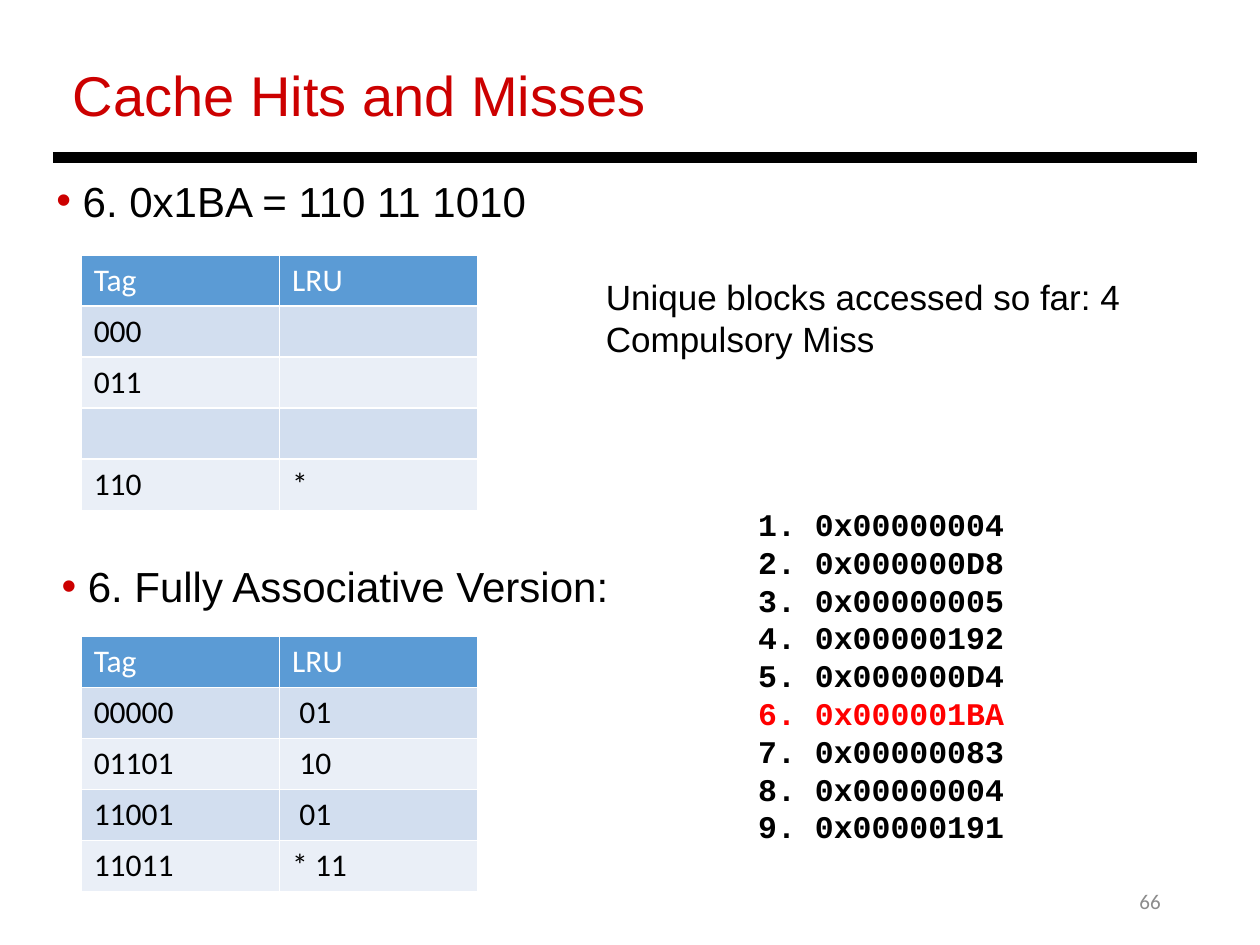
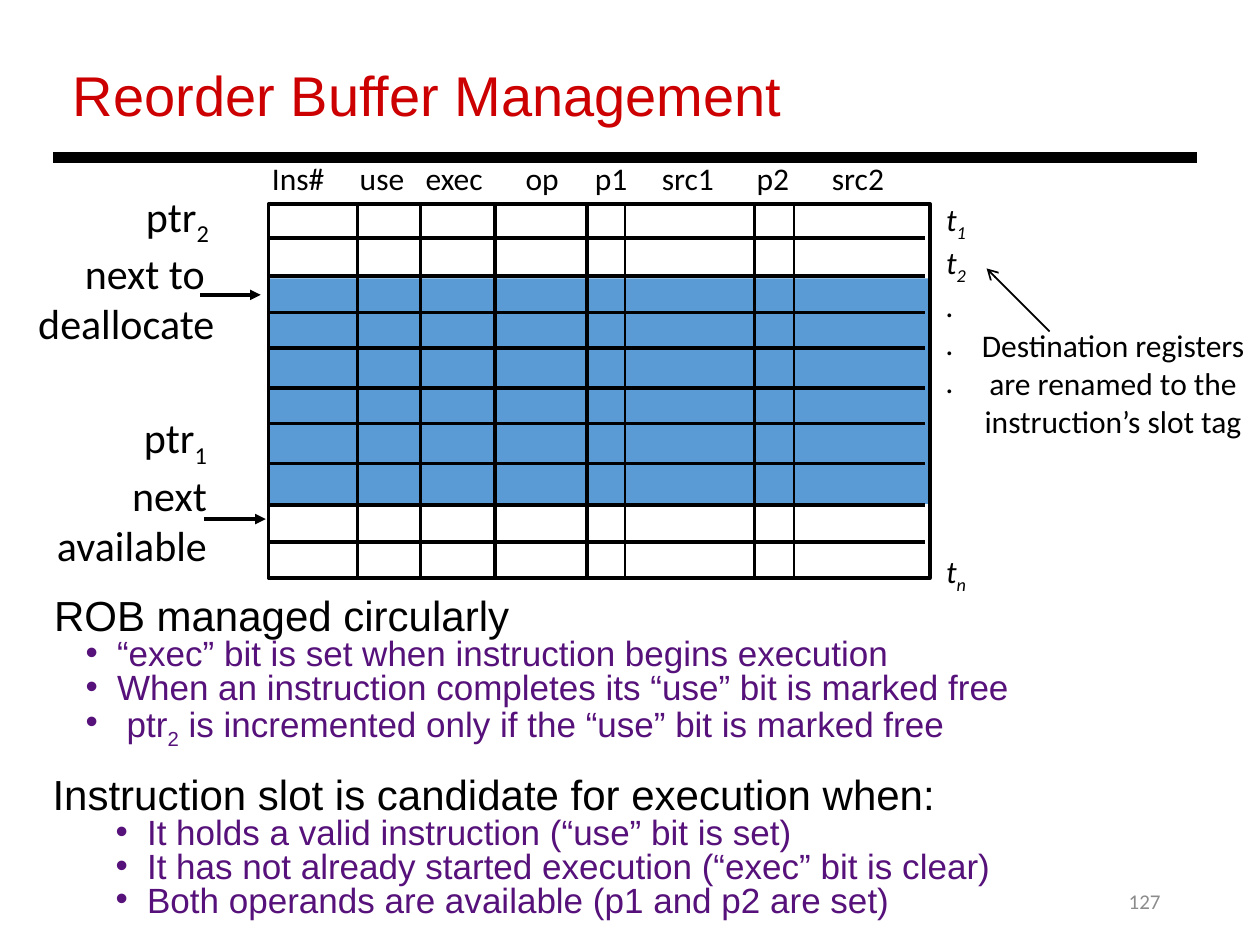
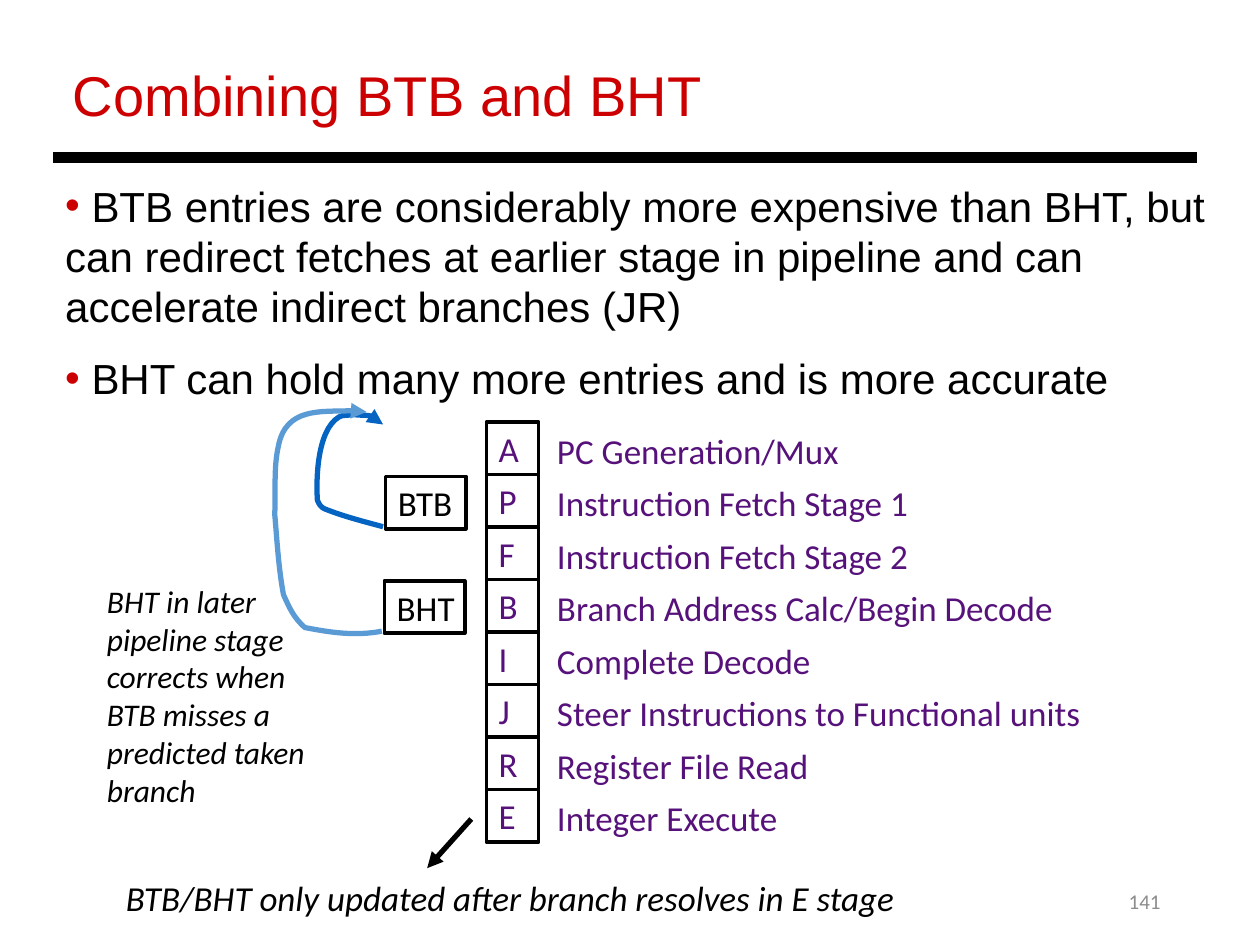
from lxml import etree
from pptx import Presentation
from pptx import util as u
from pptx.dml.color import RGBColor
from pptx.enum import shapes, text
from pptx.oxml.ns import qn

THEME = dict(
    black="000000", white="FFFFFF", red="CC0000", hot="FF0000", purple="56127A",
    blue="5B9BD5", deep="0563C1", bands=("D2DEEF", "EAEFF7"), grey="8C8C8C",
    head="Arial", body="Calibri", code="Courier New",
    title=32, lead=24, text=20, small=18, page=12,
)
T = THEME
RGB = RGBColor.from_string
RIGHT, CENTER = text.PP_ALIGN.RIGHT, text.PP_ALIGN.CENTER


def write(tf, paras, wrap=True, anchor=text.MSO_ANCHOR.TOP, **base):
    """Each paragraph is a string, a tuple whose odd pieces are subscripts,
    or a (paragraph, format) list."""
    tf.word_wrap, tf.vertical_anchor = wrap, anchor
    for i, para in enumerate(paras):
        pieces, own = para if isinstance(para, list) else (para, {})
        fmt = dict(font=T["body"], size=T["small"], color=T["black"], bold=False, italic=False)
        fmt.update(base)
        fmt.update(own)
        p = tf.paragraphs[0] if i == 0 else tf.add_paragraph()
        pPr = p._p.get_or_add_pPr()
        if "bullet" in fmt:
            left, indent = fmt.get("indent", (0, 0))
            pPr.set("marL", str(u.Pt(left)))
            pPr.set("indent", str(u.Pt(indent)))
            clr = etree.SubElement(pPr, qn("a:buClr"))
            etree.SubElement(clr, qn("a:srgbClr"), val=fmt["bullet"])
            etree.SubElement(pPr, qn("a:buFont"), typeface=T["head"])
            etree.SubElement(pPr, qn("a:buChar"), char="•")
        if "tabs" in fmt:
            tabs = etree.SubElement(pPr, qn("a:tabLst"))
            for pos in fmt["tabs"]:
                etree.SubElement(tabs, qn("a:tab"), pos=str(u.Pt(pos)), algn="l")
        for name in ("alignment", "line_spacing", "space_before"):
            if name in fmt:
                setattr(p, name, fmt[name])
        for j, piece in enumerate((pieces,) if isinstance(pieces, str) else pieces):
            r = p.add_run()
            r.text = piece
            values = dict(name=fmt["font"], size=u.Pt(fmt["size"]), bold=fmt["bold"], italic=fmt["italic"])
            for name, value in values.items():
                setattr(r.font, name, value)
            r.font.color.rgb = RGB(fmt["color"])
            if j % 2:
                r._r.get_or_add_rPr().set("baseline", "-25000")


def line(s, x1, y1, x2, y2, width, arrow=None):
    c = s.shapes.add_connector(shapes.MSO_CONNECTOR.STRAIGHT, *map(u.Pt, (x1, y1, x2, y2)))
    c.line.width = u.Pt(width)
    c.line.color.rgb = RGB(T["black"])
    if arrow:
        etree.SubElement(c.line._get_or_add_ln(), qn("a:tailEnd"), type=arrow)
    etree.SubElement(c._element.spPr, qn("a:effectLst"))


prs = Presentation()
prs.slide_width, prs.slide_height = u.Pt(720), u.Pt(540)

# Shared frame: title, rule, page number
pages = []
for title, number in (("Cache Hits and Misses", "66"),
                      ("Reorder Buffer Management", "127"),
                      ("Combining BTB and BHT", "141")):
    s = prs.slides.add_slide(prs.slide_layouts[6])
    sp = s.shapes.add_textbox(*map(u.Pt, (508.3, 500.4, 162, 28.8)))
    write(sp.text_frame, [number], anchor=text.MSO_ANCHOR.MIDDLE,
          alignment=RIGHT, size=T["page"], color=T["grey"])
    sp = s.shapes.add_textbox(*map(u.Pt, (34.6, 31, 632.5, 46)))
    write(sp.text_frame, [title], font=T["head"], size=T["title"], color=T["red"])
    line(s, 30.2, 90, 684, 90, 6)
    pages.append(s)
cache, rob, branch = pages
LEAD = dict(font=T["head"], size=T["lead"])
RED_BULLET = dict(LEAD, bullet=T["red"])

# Slide 1: headings and cache tables
for x, y, heading, table_y, rows in (
    (25.2, 96.5, " 6. 0x1BA = 110 11 1010", 145.6,
     (("Tag", "LRU"), ("000", ""), ("011", ""), ("", ""), ("110", "*"))),
    (28.1, 316.8, " 6. Fully Associative Version:", 363.6,
     (("Tag", "LRU"), ("00000", " 01"), ("01101", " 10"), ("11001", " 01"), ("11011", "* 11"))),
):
    sp = s = cache.shapes.add_textbox(*map(u.Pt, (x, y, 642, 36)))
    write(sp.text_frame, [heading], **RED_BULLET)
    table = cache.shapes.add_table(5, 2, *map(u.Pt, (46.4, table_y, 226.8, 146))).table
    for i, row in enumerate(rows):
        for j, value in enumerate(row):
            cell = table.cell(i, j)
            cell.fill.solid()
            cell.fill.fore_color.rgb = RGB(T["bands"][(i - 1) % 2] if i else T["blue"])
            if value:
                write(cell.text_frame, [value], color=T["black"] if i else T["white"])

# Slide 1: access list and verdict
accesses = ["1. 0x00000004", "2. 0x000000D8", "3. 0x00000005", "4. 0x00000192", "5. 0x000000D4",
            ["6. 0x000001BA", dict(color=T["hot"])],
            "7. 0x00000083", "8. 0x00000004", "9. 0x00000191"]
sp = cache.shapes.add_textbox(*map(u.Pt, (426.2, 285.1, 198, 203.8)))
write(sp.text_frame, accesses, font=T["code"], bold=True)
sp = cache.shapes.add_textbox(*map(u.Pt, (339.1, 154.1, 360, 55.4)))
write(sp.text_frame, ["Unique blocks accessed so far: 4", "Compulsory Miss"],
      font=T["head"], size=T["text"])

# Slide 2: buffer grid with the occupied slots filled
for box, fill in (((153.4, 159.1, 377.3, 128.9), T["blue"]), ((153.4, 116.6, 378, 213.8), None)):
    sp = rob.shapes.add_shape(shapes.MSO_SHAPE.RECTANGLE, *map(u.Pt, box))
    sp.shadow.inherit = False
    if fill:
        sp.fill.solid()
        sp.fill.fore_color.rgb = RGB(fill)
        sp.line.fill.background()
    else:
        sp.fill.background()
        sp.line.color.rgb = RGB(T["black"])
        sp.line.width = u.Pt(2)
for x, width in ((204.3, 2), (240.3, 2), (282.8, 2), (335.5, 2), (357.2, 1), (431.2, 2), (453.7, 1)):
    line(rob, x, 117.5, x, 330, width)
for y in (136, 157.7, 178.6, 198.8, 221.8, 242, 265, 288.7, 309.6):
    line(rob, 154, y, 528.5, y, 2)

# Slide 2: column names, slot tags and pointers
sp = rob.shapes.add_textbox(*map(u.Pt, (148.3, 87.4, 390, 28.8)))
write(sp.text_frame, ["Ins#\tuse\texec\top\tp1\tsrc1\tp2\tsrc2"],
      tabs=(50.2, 87.9, 145, 184.5, 222.8, 277, 320))
sp = rob.shapes.add_textbox(*map(u.Pt, (533.5, 110.9, 30.2, 247)))
write(sp.text_frame, [("t", "1"), ("t", "2"), ".", ".", ".", [("t", "n"), dict(space_before=u.Pt(87))]],
      italic=True)
for box, words in (((12.2, 105.1, 117.4, 94.3), [("ptr", "2 "), "next to ", "deallocate"]),
                   ((0.7, 231.8, 124.6, 94.3), [("ptr", "1"), "next", "available"])):
    sp = rob.shapes.add_textbox(*map(u.Pt, box))
    write(sp.text_frame, words, size=T["lead"], alignment=RIGHT)
line(rob, 114.5, 168.5, 149, 168.5, 2, "triangle")
line(rob, 116.6, 296.6, 151.9, 296.6, 2, "triangle")
sp = rob.shapes.add_textbox(*map(u.Pt, (552.2, 182.9, 167.8, 72.7)))
write(sp.text_frame, ["Destination registers are renamed to the instruction’s slot tag"], alignment=CENTER)
line(rob, 599.8, 189.4, 563.8, 153.4, 1, "arrow")

# Slide 2: rules of the buffer
for box, left, heading, points in (
    ((23.8, 339.1, 571, 88.6), 36, "ROB managed circularly",
     ("“exec” bit is set when instruction begins execution",
      "When an instruction completes its “use” bit is marked free",
      (" ptr", "2", " is incremented only if the “use” bit is marked free"))),
    ((23, 441.4, 571, 88.6), 54, "Instruction slot is candidate for execution when:",
     ("It holds a valid instruction (“use” bit is set)",
      "It has not already started execution (“exec” bit is clear)",
      "Both operands are available (p1 and p2 are set)")),
):
    point = dict(size=T["text"], color=T["purple"], bullet=T["purple"], indent=(left, -18))
    sp = rob.shapes.add_textbox(*map(u.Pt, box))
    write(sp.text_frame, [heading] + [[words, point] for words in points], line_spacing=0.8, **LEAD)

# Slide 3: comparison
sp = branch.shapes.add_textbox(*map(u.Pt, (30.2, 99.4, 668.2, 135.4)))
write(sp.text_frame, [
    " BTB entries are considerably more expensive than BHT, but can redirect fetches "
    "at earlier stage in pipeline and can accelerate indirect branches (JR)",
    [" BHT can hold many more entries and is more accurate", dict(space_before=u.Pt(12))],
], **RED_BULLET)

# Slide 3: pipeline stages and predictor boxes
stages = ("PC Generation/Mux", "Instruction Fetch Stage 1", "Instruction Fetch Stage 2",
          "Branch Address Calc/Begin Decode", "Complete Decode",
          "Steer Instructions to Functional units", "Register File Read", "Integer Execute")
boxes = [("BTB", 220.3, 272.2, 46, T["black"]), ("BHT", 219.6, 331.9, 46, T["black"])]
for i, (letter, stage) in enumerate(zip("APFBIJRE", stages)):
    y = 241.2 + 30 * i
    boxes.append((letter, 277.9, y, 30, T["purple"]))
    sp = branch.shapes.add_textbox(*map(u.Pt, (306.7, y + 0.5, 330, 31.7)))
    write(sp.text_frame, [" " + stage], size=T["text"], color=T["purple"])
for label, x, y, width, color in boxes:
    sp = branch.shapes.add_shape(shapes.MSO_SHAPE.RECTANGLE, *map(u.Pt, (x, y, width, 30)))
    sp.shadow.inherit = False
    sp.fill.solid()
    sp.fill.fore_color.rgb = RGB(T["white"])
    sp.line.color.rgb = RGB(T["black"])
    sp.line.width = u.Pt(2)
    write(sp.text_frame, [label], wrap=False, anchor=text.MSO_ANCHOR.MIDDLE,
          alignment=text.PP_ALIGN.LEFT, size=T["text"], color=color)

# Slide 3: redirect loops, each a start point and three points per curve
for color, points in (
    (T["deep"], ((218.9, 301), (208.1, 298.1), (196.6, 295.2), (185.8, 290.9),
                 (183.6, 290.2), (182.2, 288), (181.4, 285.8),
                 (180.7, 275.8), (180.7, 246.2), (193.7, 238.3),
                 (195.8, 236.9), (199.4, 237.6), (201.6, 236.9),
                 (208.1, 237.6), (215.3, 236.2), (218.9, 242.6))),
    (T["blue"], ((218.2, 360.7), (203, 363.6), (188.6, 361.4), (174.2, 358.6),
                 (167.8, 352.8), (165.6, 347.8), (162, 339.8),
                 (159.1, 324), (158.4, 309.6), (157, 293.8),
                 (157.7, 280.8), (156.2, 267.8), (159.1, 254.9),
                 (163.4, 232.6), (183.6, 235.4), (200.2, 234.7),
                 (203.8, 234.7), (209.5, 235.4), (209.5, 235.4))),
):
    tenths = [(x * 10, y * 10) for x, y in points]
    fb = branch.shapes.build_freeform(*tenths[0], scale=u.Pt(0.1))
    fb.add_line_segments(tenths[1:], close=False)
    sp = fb.convert_to_shape()
    outline = sp._element.spPr.find(".//" + qn("a:path"))
    steps = outline.findall(qn("a:lnTo"))
    for k in range(0, len(steps), 3):
        curve = etree.SubElement(outline, qn("a:cubicBezTo"))
        for step in steps[k:k + 3]:
            curve.append(step[0])
            outline.remove(step)
    sp.shadow.inherit = False
    sp.fill.background()
    sp.line.color.rgb = RGB(color)
    sp.line.width = u.Pt(3)
    etree.SubElement(sp.line._get_or_add_ln(), qn("a:tailEnd"), type="triangle")

# Slide 3: remarks
for box, words, size in (
    ((54, 329, 144.7, 136.8),
     "BHT in later pipeline stage corrects when BTB misses a predicted taken branch", T["small"]),
    ((64.8, 497.5, 463.7, 31.7), "BTB/BHT only updated after branch resolves in E stage", T["text"]),
):
    sp = branch.shapes.add_textbox(*map(u.Pt, box))
    write(sp.text_frame, [words], size=size, italic=True)
line(branch, 269.3, 468, 244.1, 496.1, 3, "triangle")

prs.save("out.pptx")
